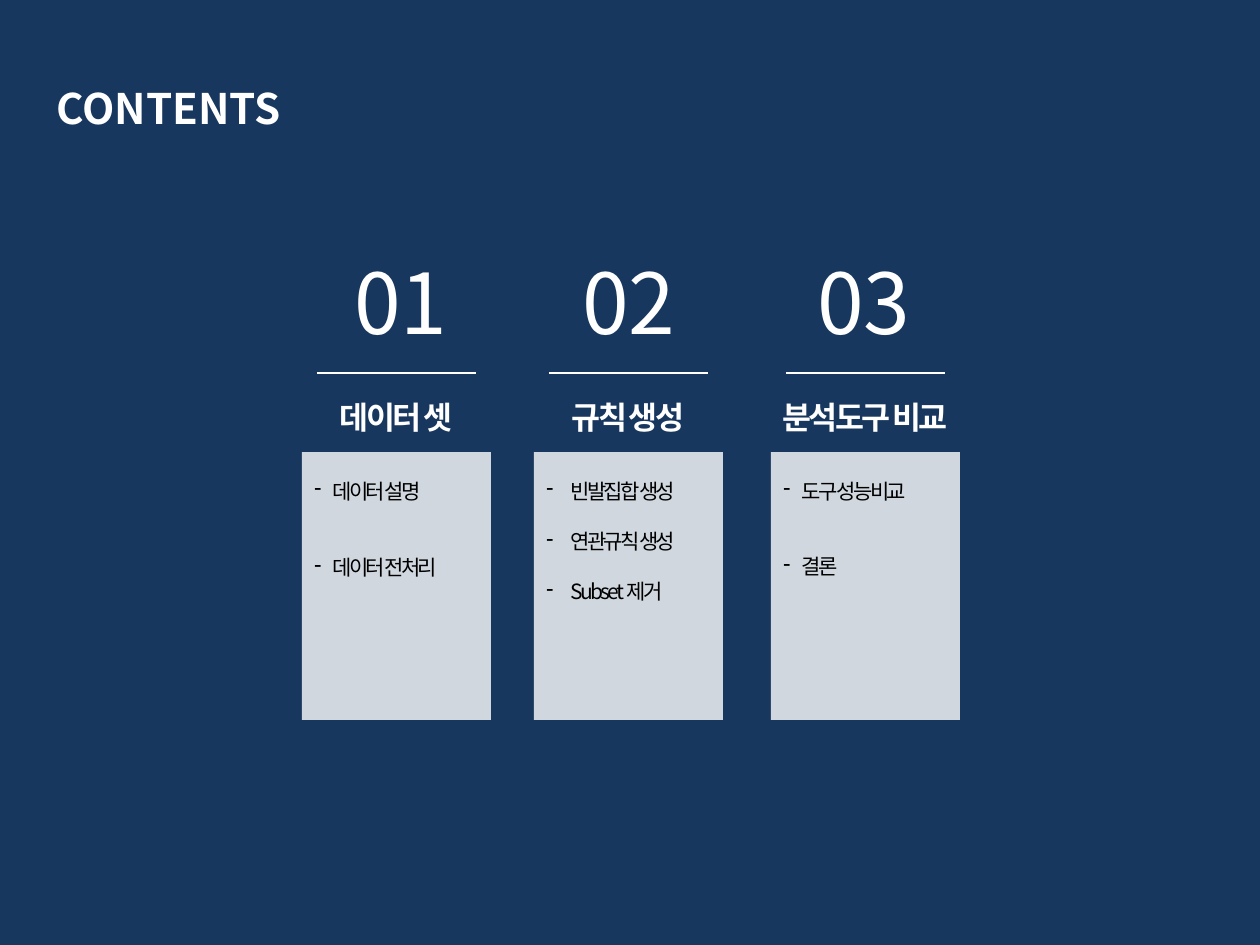
from dataclasses import dataclass

from lxml.etree import SubElement
from pptx import Presentation
from pptx.dml.color import RGBColor
from pptx.enum.shapes import MSO_CONNECTOR as Connector, MSO_SHAPE as Shape
from pptx.enum.text import MSO_AUTO_SIZE as AutoSize, PP_ALIGN as Align
from pptx.oxml import parse_xml
from pptx.oxml.ns import nsdecls, qn
from pptx.util import Emu, Pt


@dataclass(frozen=True)
class Theme:
    """Colours, type sizes and font of the slide."""
    navy: RGBColor = RGBColor(0x17, 0x37, 0x5E)
    white: RGBColor = RGBColor(0xFF, 0xFF, 0xFF)
    black: RGBColor = RGBColor(0x00, 0x00, 0x00)
    font: str = "Noto Sans CJK KR"
    heading: int = 24
    number: int = 48
    title: int = 18
    item: int = 12
    tight: int = -150
    panel_alpha: int = 80000


@dataclass(frozen=True)
class Column:
    """One chapter of the contents, with its own item spacing in points."""
    left: int
    number_center: int
    number: str
    title: str
    items: tuple
    item_gap: float
    indent: int


THEME = Theme()
PANEL_WIDTH = 189
RULE_WIDTH = 159
COLUMNS = (
    Column(302, 401, "01", "데이터 셋", ("데이터 설명", "데이터 전처리"), 29.3, 18),
    Column(534, 629, "02", "규칙 생성", ("빈발집합 생성", "연관규칙 생성", "Subset 제거"), 14.4, 24),
    Column(771, 864, "03", "분석도구 비교", ("도구 성능비교", "결론"), 28.8, 18),
)


def px(value):
    """Turn whole pixels into EMU."""
    return Emu(round(value * 914400 / 126))


def add_text_box(shapes, left, top, width, height):
    """Add a wrapping text box that fits its text and return its frame."""
    frame = shapes.add_textbox(px(left), px(top), px(width), px(height)).text_frame
    frame.word_wrap = True
    frame.auto_size = AutoSize.SHAPE_TO_FIT_TEXT
    return frame


def add_run(paragraph, text, size, color, bold=False, spacing=0):
    """Add one styled run to a paragraph."""
    run = paragraph.add_run()
    run.text = text
    run.font.size = Pt(size)
    run.font.bold = bold
    run.font.color.rgb = color
    run.font.name = THEME.font
    properties = run.font._element
    SubElement(properties, qn("a:ea")).set("typeface", THEME.font)
    if spacing:
        properties.set("spc", str(spacing))
    return run


def add_text_shadow(run):
    """Give the letters of a run a soft shadow to the lower right."""
    effects = parse_xml(
        f'<a:effectLst {nsdecls("a")}>'
        '<a:outerShdw blurRad="38100" dist="38100" dir="2700000" algn="tl">'
        '<a:srgbClr val="000000"><a:alpha val="43000"/></a:srgbClr>'
        '</a:outerShdw></a:effectLst>'
    )
    run.font._element.find(qn("a:solidFill")).addnext(effects)


def add_label(shapes, box, text, size, align=Align.CENTER, bold=False, spacing=0):
    """Add a white one-line label with a text shadow."""
    paragraph = add_text_box(shapes, *box).paragraphs[0]
    paragraph.alignment = align
    add_text_shadow(add_run(paragraph, text, size, THEME.white, bold, spacing))


def add_rule(shapes, left, top, width):
    """Add a thin white horizontal line."""
    rule = shapes.add_connector(Connector.STRAIGHT, px(left), px(top), px(left + width), px(top))
    rule.line.color.rgb = THEME.white
    rule.line.width = Pt(0.75)
    SubElement(rule._element.spPr, qn("a:effectLst"))


def set_dash(paragraph, indent):
    """Give a paragraph a hanging dash bullet."""
    properties = paragraph._p.get_or_add_pPr()
    properties.set("marL", str(px(indent)))
    properties.set("indent", str(-px(indent)))
    SubElement(properties, qn("a:buChar")).set("char", "-")


def add_panel(shapes, column):
    """Add the translucent panel grouped with its list of items."""
    group = shapes.add_group_shape().shapes
    panel = group.add_shape(Shape.RECTANGLE, px(column.left), px(452), px(PANEL_WIDTH), px(268))
    panel.shadow.inherit = False
    panel.fill.solid()
    panel.fill.fore_color.rgb = THEME.white
    color = panel._element.spPr.find(qn("a:solidFill"))[0]
    SubElement(color, qn("a:alpha")).set("val", str(THEME.panel_alpha))
    panel.line.fill.background()
    frame = add_text_box(group, column.left, 472, PANEL_WIDTH, 140)
    for index, item in enumerate(column.items):
        paragraph = frame.add_paragraph() if index else frame.paragraphs[0]
        paragraph.alignment = Align.LEFT
        if index:
            paragraph.space_before = Pt(column.item_gap)
        set_dash(paragraph, column.indent)
        add_run(paragraph, item, THEME.item, THEME.black, spacing=THEME.tight)


def add_column(shapes, column):
    """Add number, rule, title and panel of one chapter."""
    add_label(shapes, (column.number_center - 68, 244, 136, 115), column.number, THEME.number)
    add_rule(shapes, column.left + (PANEL_WIDTH - RULE_WIDTH) // 2, 373, RULE_WIDTH)
    title_left = column.left + (PANEL_WIDTH - 268) // 2
    add_label(shapes, (title_left, 392, 268, 50), column.title, THEME.title,
              bold=True, spacing=THEME.tight)
    add_panel(shapes, column)


def main():
    """Build the contents slide and save it."""
    presentation = Presentation()
    presentation.slide_width = px(1260)
    presentation.slide_height = px(945)
    slide = presentation.slides.add_slide(presentation.slide_layouts[6])
    slide.background.fill.solid()
    slide.background.fill.fore_color.rgb = THEME.navy
    add_label(slide.shapes, (44, 76, 576, 63), "CONTENTS", THEME.heading, Align.LEFT, bold=True)
    for column in COLUMNS:
        add_column(slide.shapes, column)
    presentation.save("out.pptx")


if __name__ == "__main__":
    main()
